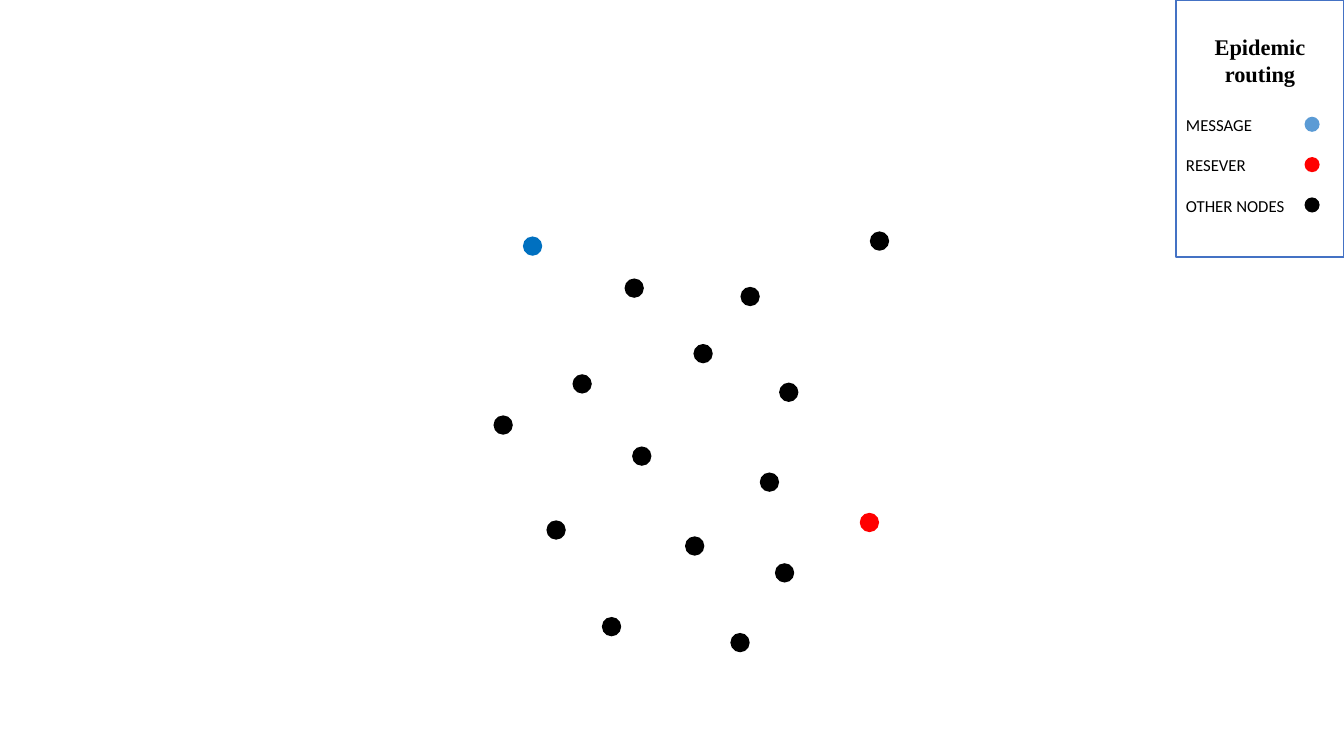
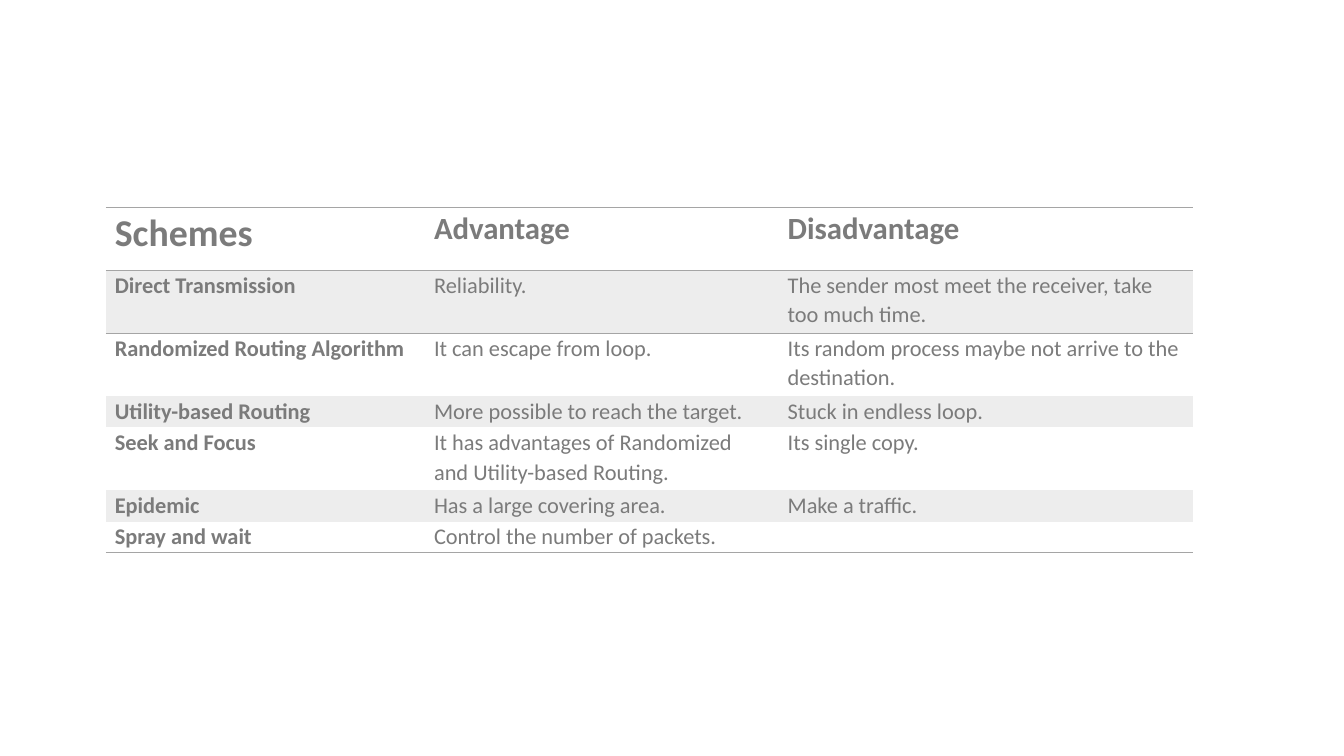
from dataclasses import dataclass

from lxml.etree import SubElement
from pptx import Presentation
from pptx.dml.color import RGBColor
from pptx.enum.shapes import MSO_SHAPE
from pptx.enum.text import MSO_ANCHOR, PP_ALIGN
from pptx.oxml.ns import qn
from pptx.util import Inches, Pt


@dataclass(frozen=True)
class Theme:
    black: str = "000000"
    white: str = "FFFFFF"
    red: str = "FF0000"
    sender: str = "0070C0"
    message: str = "5B9BD5"
    frame: str = "4472C4"
    table_text: str = "7B7B7B"
    table_rule: str = "A5A5A5"
    band: str = "EDEDED"
    serif: str = "Times New Roman"
    sans: str = "Calibri"
    legend_title: int = 16
    legend_label: int = 12
    first_header: int = 27
    header: int = 22
    cell: int = 16


theme = Theme()
deck = Presentation()
deck.slide_width, deck.slide_height = Inches(13.333), Inches(7.5)
GRID = deck.slide_width / 16  # 16 columns by 9 rows of square cells
BLANK = deck.slide_layouts[6]


def write(para, text, size, font=theme.sans, color=theme.black, bold=False,
          align=PP_ALIGN.LEFT, before=0, spacing=1.0):
    para.alignment = align
    para.space_before = Pt(before)
    para.line_spacing = spacing
    span = para.add_run()
    span.text = text
    span.font.size = Pt(size)
    span.font.name = font
    span.font.bold = bold
    span.font.color.rgb = RGBColor.from_string(color)


def add_figure(page, kind, left, top, width, height, fill, line=None):
    """Add a preset shape, measured in grid cells."""
    box = page.shapes.add_shape(
        kind, *(round(n * GRID) for n in (left, top, width, height)))
    box.shadow.inherit = False
    box.fill.solid()
    box.fill.fore_color.rgb = RGBColor.from_string(fill)
    if line:
        box.line.color.rgb = RGBColor.from_string(line)
        box.line.width = Pt(1)
    else:
        box.line.fill.background()
    return box


# Slide 1: network nodes and legend
page = deck.slides.add_slide(BLANK)
NODE = 0.23
other_nodes = [
    (7.55, 3.43), (6.93, 4.57), (8.37, 4.21), (8.93, 3.53), (10.47, 2.87),
    (7.64, 5.43), (6.62, 6.31), (8.27, 6.5), (9.39, 4.67), (9.34, 6.82),
    (7.28, 7.46), (9.16, 5.74), (8.81, 7.65), (5.99, 5.06),
]
nodes = [(6.34, 2.93, theme.sender), (10.35, 6.22, theme.red)]
nodes += [(x, y, theme.black) for x, y in other_nodes]
for x, y, color in nodes:
    add_figure(page, MSO_SHAPE.OVAL, x - NODE / 2, y - NODE / 2, NODE, NODE, color)

legend = add_figure(page, MSO_SHAPE.RECTANGLE, 14, 0, 2, 3.06, theme.white, theme.frame)
frame = legend.text_frame
frame.word_wrap = True
frame.vertical_anchor = MSO_ANCHOR.MIDDLE
frame.margin_bottom = Inches(0.13)
write(frame.paragraphs[0], "Epidemic routing", theme.legend_title,
      font=theme.serif, bold=True, align=PP_ALIGN.CENTER)

KEY = 0.18
keys = [("MESSAGE", theme.message), ("RESEVER", theme.red), ("OTHER NODES", theme.black)]
for index, (label, color) in enumerate(keys):
    write(frame.add_paragraph(), label, theme.legend_label,
          before=14.5 if index else 19.5)
    add_figure(page, MSO_SHAPE.FLOWCHART_CONNECTOR, 15.62 - KEY / 2,
               1.48 + 0.48 * index - KEY / 2, KEY, KEY, color)

# Slide 2: comparison of routing schemes
page = deck.slides.add_slide(BLANK)
schemes = [
    ("Schemes", "Advantage", "Disadvantage"),
    ("Direct Transmission", "Reliability.",
     "The sender most meet the receiver, take too much time."),
    ("Randomized Routing Algorithm", "It can escape from loop.",
     "Its random process maybe not arrive to the destination."),
    ("Utility-based Routing", "More possible to reach the target.",
     "Stuck in endless loop."),
    ("Seek and Focus", "It has advantages of Randomized and Utility-based Routing.",
     "Its single copy."),
    ("Epidemic", "Has a large covering area.", "Make a traffic."),
    ("Spray and wait", "Control the number of packets.", ""),
]
column_widths = [3.8, 4.21, 4.93]
TALL, SHORT = 0.75, 0.37
row_heights = [TALL, TALL, TALL, SHORT, TALL, SHORT, SHORT]
last = len(schemes) - 1
ruled_edges = {0: ("a:lnT", "a:lnB"), 1: ("a:lnT",), last: ("a:lnB",)}
PLAIN_STYLE = "{2D5ABB26-0587-4C30-8999-92F81FD0307C}"

holder = page.shapes.add_table(
    len(schemes), len(column_widths), round(1.26 * GRID), round(2.47 * GRID),
    round(sum(column_widths) * GRID), round(sum(row_heights) * GRID))
table = holder.table
table._tbl.tblPr.find(qn("a:tableStyleId")).text = PLAIN_STYLE
for column, width in zip(table.columns, column_widths):
    column.width = round(width * GRID)

for r, (row, height, texts) in enumerate(zip(table.rows, row_heights, schemes)):
    row.height = round(height * GRID)
    for c, (cell, text) in enumerate(zip(row.cells, texts)):
        cell.margin_left = cell.margin_right = Inches(0.09)
        cell.margin_top = cell.margin_bottom = 0
        size = theme.cell
        if r == 0:
            size = theme.header if c else theme.first_header
        write(cell.text_frame.paragraphs[0], text, size, color=theme.table_text,
              bold=r == 0 or c == 0, spacing=1.07)
        for edge in ruled_edges.get(r, ()):
            rule = SubElement(cell._tc.get_or_add_tcPr(), qn(edge), w=str(Pt(1)))
            paint = SubElement(rule, qn("a:solidFill"))
            SubElement(paint, qn("a:srgbClr"), val=theme.table_rule)
        if r % 2:
            cell.fill.solid()
            cell.fill.fore_color.rgb = RGBColor.from_string(theme.band)
        else:
            cell.fill.background()

deck.save("out.pptx")
